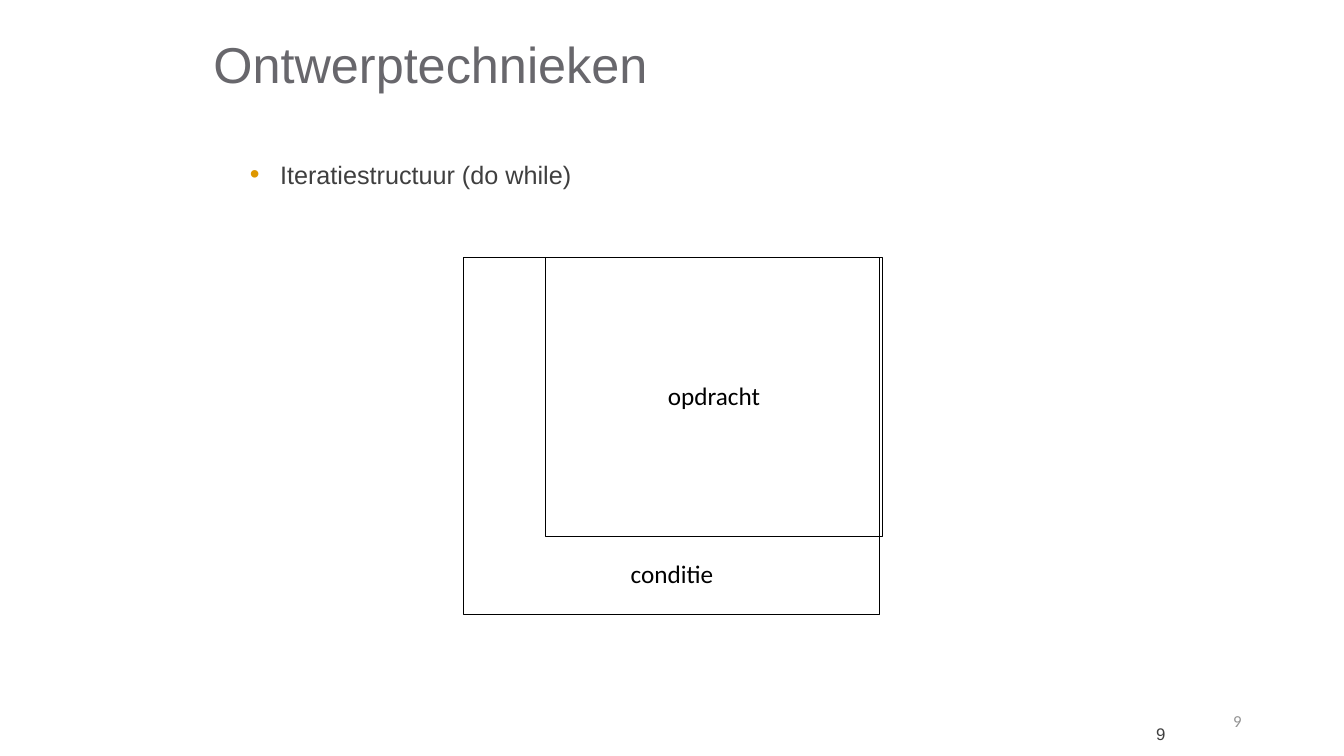
from lxml import etree
from pptx import Presentation
from pptx.dml.color import RGBColor
from pptx.enum.shapes import MSO_SHAPE
from pptx.enum.text import MSO_ANCHOR, PP_ALIGN
from pptx.oxml.ns import qn
from pptx.util import Cm, Pt

RECTANGLE = MSO_SHAPE.RECTANGLE
TOP, MIDDLE = MSO_ANCHOR.TOP, MSO_ANCHOR.MIDDLE
LEFT, CENTER, RIGHT = PP_ALIGN.LEFT, PP_ALIGN.CENTER, PP_ALIGN.RIGHT

BLACK = RGBColor(0x00, 0x00, 0x00)
TITLE_GREY = RGBColor(0x68, 0x67, 0x6C)
TEXT_GREY = RGBColor(0x3F, 0x3F, 0x3F)
PALE_GREY = RGBColor(0x93, 0x93, 0x93)

prs = Presentation()
prs.slide_width, prs.slide_height = Cm(33.87), Cm(19.05)
slide = prs.slides.add_slide(prs.slide_layouts[6])


def add_block(left, top, width, height):
    block = slide.shapes.add_shape(RECTANGLE, Cm(left), Cm(top), Cm(width), Cm(height))
    block.shadow.inherit = False
    block.fill.background()
    block.line.color.rgb = BLACK
    block.line.width = Pt(0.75)
    return block


def write(shape, text, size, font, color, align=LEFT, anchor=TOP, wrap=True):
    frame = shape.text_frame
    frame.word_wrap = wrap
    frame.vertical_anchor = anchor
    paragraph = frame.paragraphs[0]
    paragraph.text = text
    paragraph.alignment = align
    paragraph.font.size = Pt(size)
    paragraph.font.name = font
    paragraph.font.color.rgb = color
    return paragraph


# Do-while diagram: the loop encloses the statement, the condition stands below
add_block(11.68, 6.5, 10.49, 8.99)
statement = add_block(13.74, 6.5, 8.51, 7.01)
condition = slide.shapes.add_textbox(Cm(15.32), Cm(14), Cm(3.23), Cm(1.19))
for label, text, anchor, wrap in [(statement, "opdracht", MIDDLE, True),
                                  (condition, "conditie", TOP, False)]:
    write(label, text, 18, "Calibri", BLACK, CENTER, anchor, wrap).line_spacing = 0.95

# Title
title = slide.shapes.add_textbox(Cm(5.13), Cm(0), Cm(24.21), Cm(3.18))
write(title, "Ontwerptechnieken", 36, "Arial", TITLE_GREY, anchor=MIDDLE)

# Bulleted topic
topic = slide.shapes.add_textbox(Cm(6.05), Cm(3.89), Cm(8.69), Cm(1.04))
topic_line = write(topic, "Iteratiestructuur (do while)", 18, "Arial", TEXT_GREY, wrap=False)
properties = topic_line._p.get_or_add_pPr()
properties.set("marL", str(Cm(0.76)))
properties.set("indent", str(-Cm(0.76)))
bullet_color = etree.Element(qn("a:buClr"))
etree.SubElement(bullet_color, qn("a:srgbClr"), val="DE9700")
bullet_parts = [bullet_color,
                etree.Element(qn("a:buSzPct"), val="110000"),
                etree.Element(qn("a:buFont"), typeface="Arial"),
                etree.Element(qn("a:buChar"), char="•")]
for position, part in enumerate(bullet_parts):
    properties.insert(position, part)

# Slide numbers
for left, top, width, font, color in [(23.7, 17.98, 5.92, "Arial", TEXT_GREY),
                                      (28.52, 17.65, 3.02, "Calibri", PALE_GREY)]:
    number = slide.shapes.add_textbox(Cm(left), Cm(top), Cm(width), Cm(1.02))
    write(number, "9", 12, font, color, RIGHT, MIDDLE)

prs.save("out.pptx")
